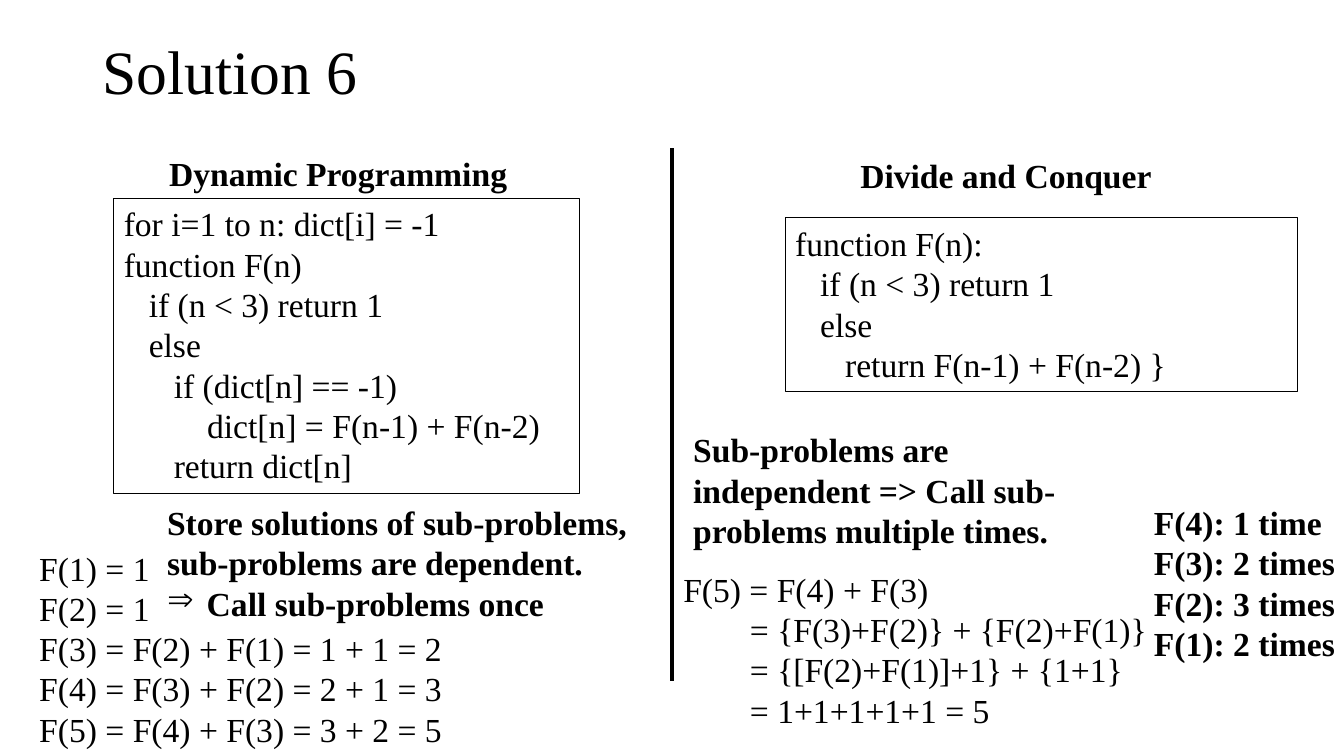
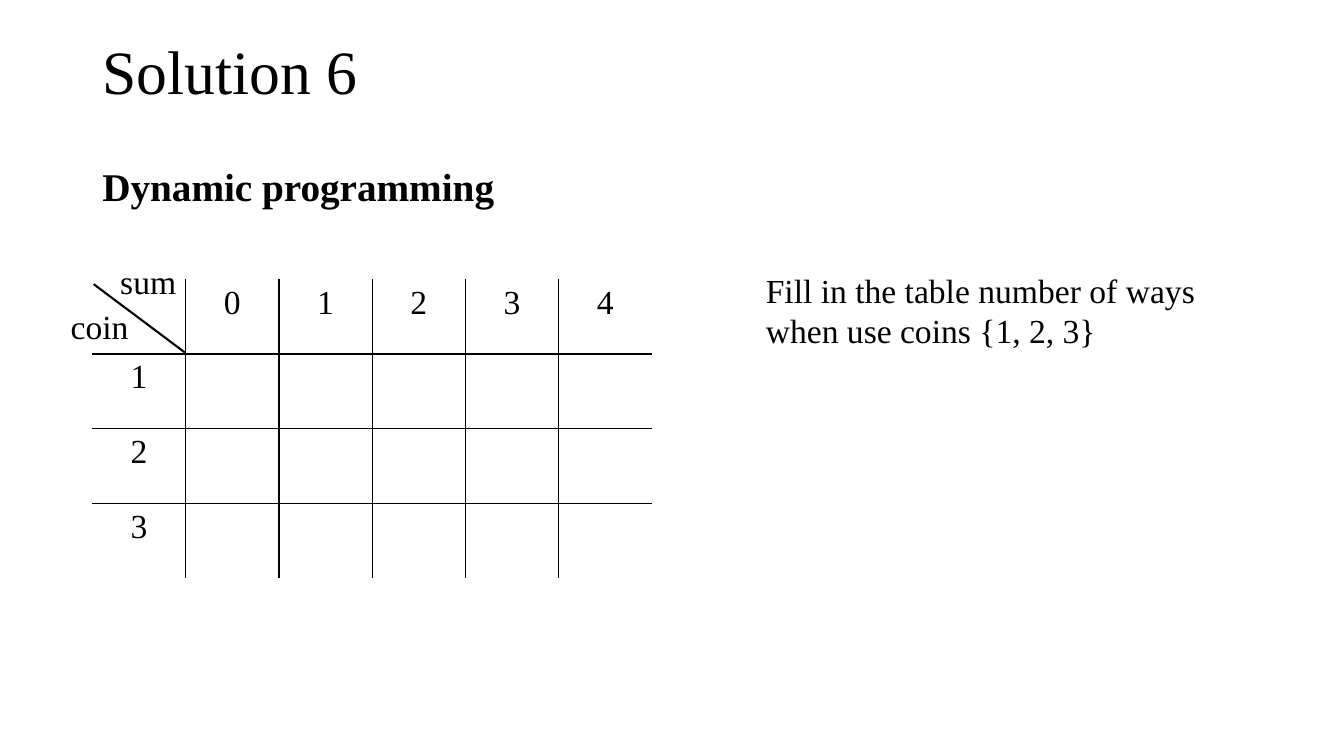
from dataclasses import dataclass

from lxml import etree
from pptx import Presentation
from pptx import util as u
from pptx.dml.color import RGBColor
from pptx.enum import shapes, text
from pptx.oxml import ns


@dataclass(frozen=True)
class Theme:
    ink: RGBColor = RGBColor(0, 0, 0)
    paper: RGBColor = RGBColor(255, 255, 255)
    font: str = "Times New Roman"
    title: int = 44
    heading: int = 28
    body: int = 24
    space_cm: float = 0.21
    bullet_cm: float = 1.0
    frame_pt: float = 0.75
    grid_pt: float = 1
    diagonal_pt: float = 1.5
    divider_pt: float = 3


THEME = Theme()
TITLE = "Solution 6"
TITLE_AT = (2.33, 0.05, 29.21, 3.68)

HEADINGS = [
    ("Dynamic Programming", (3.96, 3.73, 9.12, 1.27)),
    ("Divide and Conquer", (21.39, 3.78, 7.92, 1.27)),
]
DIVIDER = (16.94, 3.73, 16.94, 17.17)

# Each line is (leading columns, wording).
PROGRAMS = [
    ([(0, "function F(n):"),
      (3, "if (n < 3) return 1"),
      (3, "else"),
      (6, "return F(n-1) + F(n-2) }")],
     (19.79, 5.49, 12.9, 4.37)),
    ([(0, "for i=1 to n: dict[i] = -1"),
      (0, "function F(n)"),
      (3, "if (n < 3) return 1"),
      (3, "else"),
      (6, "if (dict[n] == -1)"),
      (10, "dict[n] = F(n-1) + F(n-2)"),
      (6, "return dict[n]")],
     (2.87, 5.0, 11.73, 7.44)),
]
TRACES = [
    ([(0, "F(5) = F(4) + F(3)"),
      (8, "= {F(3)+F(2)} + {F(2)+F(1)}"),
      (8, "= {[F(2)+F(1)]+1} + {1+1}"),
      (8, "= 1+1+1+1+1 = 5")],
     (16.97, 14.2, 16.94, 4.37)),
    ([(0, "F(1) = 1"),
      (0, "F(2) = 1"),
      (0, "F(3) = F(2) + F(1) = 1 + 1 = 2"),
      (0, "F(4) = F(3) + F(2) = 2 + 1 = 3"),
      (0, "F(5) = F(4) + F(3) = 3 + 2 = 5")],
     (0.74, 13.67, 16.94, 5.38)),
]
STORED = ["Store solutions of sub-problems, sub-problems are dependent.",
          "Call sub-problems once"]
STORED_AT = (3.96, 12.52, 13.13, 3.33)
REMARKS = [
    (["Sub-problems are independent => Call sub-problems multiple times."],
     (17.22, 10.69, 10.44, 3.33)),
    (["F(4): 1 time", "F(3): 2 times", "F(2): 3 times", "F(1): 2 times"],
     (28.83, 12.52, 5.66, 4.37)),
]

METHOD = "Dynamic programming"
METHOD_AT = (2.33, 4.09, 29.21, 13.06)
SUMS = ["0", "1", "2", "3", "4"]
COINS = ["1", "2", "3"]
GRID_AT = (2.33, 7.04)
CELL = (2.35, 1.88)
AXES = [("coin", (1.52, 7.59, 1.98, 1.27)), ("sum", (2.77, 6.45, 1.93, 1.27))]
DIAGONAL = (4.67, 8.89, 2.36, 7.16)
TASK = "Fill in the table number of ways when use coins {1, 2, 3}"
TASK_AT = (19.05, 6.68, 12.45, 2.31)


def cm(lengths):
    return [u.Cm(length) for length in lengths]


def style(paragraph, size, bold=False):
    font = paragraph.font
    font.name, font.size, font.bold = THEME.font, u.Pt(size), bold
    font.color.rgb = THEME.ink


def add_text(slide, lines, at, size=THEME.body, bold=False, centred=False,
             framed=False, wrap=True, grow=True):
    if framed:
        box = slide.shapes.add_shape(shapes.MSO_SHAPE.RECTANGLE, *cm(at))
        box.shadow.inherit = False
        box.fill.background()
        box.line.color.rgb = THEME.ink
        box.line.width = u.Pt(THEME.frame_pt)
    else:
        box = slide.shapes.add_textbox(*cm(at))
    frame = box.text_frame
    frame.word_wrap = wrap
    frame.vertical_anchor = text.MSO_ANCHOR.TOP
    frame.auto_size = (text.MSO_AUTO_SIZE.SHAPE_TO_FIT_TEXT if grow
                       else text.MSO_AUTO_SIZE.NONE)
    for index, line in enumerate(lines):
        columns, wording = (0, line) if isinstance(line, str) else line
        paragraph = frame.add_paragraph() if index else frame.paragraphs[0]
        paragraph.text = wording
        paragraph.alignment = text.PP_ALIGN.CENTER if centred else text.PP_ALIGN.LEFT
        style(paragraph, size, bold)
        if columns:
            margin = u.Cm(columns * THEME.space_cm)
            paragraph._p.get_or_add_pPr().set("marL", str(margin))
    return frame


def add_bullet(paragraph, mark):
    properties = paragraph._p.get_or_add_pPr()
    hang = u.Cm(THEME.bullet_cm)
    properties.set("marL", str(hang))
    properties.set("indent", str(-hang))
    bullet = etree.Element(ns.qn("a:buChar"), char=mark)
    properties.find(ns.qn("a:defRPr")).addprevious(bullet)


def add_line(slide, ends, width):
    line = slide.shapes.add_connector(shapes.MSO_CONNECTOR.STRAIGHT, *cm(ends))
    line.line.color.rgb = THEME.ink
    line.line.width = u.Pt(width)
    etree.SubElement(line._element.spPr, ns.qn("a:effectLst"))


def set_borders(cell, sides):
    properties = cell._tc.get_or_add_tcPr()
    for position, (side, drawn) in enumerate(sides.items()):
        edge = etree.Element(ns.qn(f"a:ln{side}"), w=str(u.Pt(THEME.grid_pt)))
        if drawn:
            fill = etree.SubElement(edge, ns.qn("a:solidFill"))
            etree.SubElement(fill, ns.qn("a:srgbClr"), val=str(THEME.ink))
        else:
            etree.SubElement(edge, ns.qn("a:noFill"))
        properties.insert(position, edge)


def add_grid(slide):
    rows = [[""] + SUMS] + [[coin] + [""] * len(SUMS) for coin in COINS]
    last_row, last_column = len(COINS), len(SUMS)
    size = (CELL[0] * (last_column + 1), CELL[1] * (last_row + 1))
    grid = slide.shapes.add_table(last_row + 1, last_column + 1,
                                  *cm(GRID_AT + size)).table
    grid.first_row = grid.horz_banding = False
    for column in grid.columns:
        column.width = u.Cm(CELL[0])
    for r, row in enumerate(rows):
        grid.rows[r].height = u.Cm(CELL[1])
        for c, wording in enumerate(row):
            cell = grid.cell(r, c)
            cell.fill.background()
            set_borders(cell, {"L": c > 0, "R": c < last_column,
                               "T": r > 0, "B": r < last_row})
            if wording:
                cell.text = wording
                paragraph = cell.text_frame.paragraphs[0]
                paragraph.alignment = text.PP_ALIGN.CENTER
                style(paragraph, THEME.body)


def add_slide(deck):
    slide = deck.slides.add_slide(deck.slide_layouts[6])
    slide.background.fill.solid()
    slide.background.fill.fore_color.rgb = THEME.paper
    title = add_text(slide, [TITLE], TITLE_AT, THEME.title, grow=False)
    title.vertical_anchor = text.MSO_ANCHOR.MIDDLE
    title.paragraphs[0].line_spacing = 0.9
    return slide


def add_comparison(deck):
    slide = add_slide(deck)
    add_line(slide, DIVIDER, THEME.divider_pt)
    for heading, at in HEADINGS:
        add_text(slide, [heading], at, bold=True, centred=True, wrap=False)
    for program, at in PROGRAMS:
        add_text(slide, program, at, framed=True)
    for trace, at in TRACES:
        add_text(slide, trace, at)
    stored = add_text(slide, STORED, STORED_AT, bold=True)
    add_bullet(stored.paragraphs[1], "⇒")
    for remark, at in REMARKS:
        add_text(slide, remark, at, bold=True)


def add_exercise(deck):
    slide = add_slide(deck)
    method = add_text(slide, [METHOD], METHOD_AT, THEME.heading, bold=True, grow=False)
    method.paragraphs[0].line_spacing = 0.9
    method.paragraphs[0].space_before = u.Pt(10)
    add_grid(slide)
    for axis, at in AXES:
        add_text(slide, [axis], at, centred=True, wrap=False)
    add_line(slide, DIAGONAL, THEME.diagonal_pt)
    add_text(slide, [TASK], TASK_AT)


def main():
    deck = Presentation()
    deck.slide_width, deck.slide_height = cm((33.87, 19.05))
    add_comparison(deck)
    add_exercise(deck)
    deck.save("out.pptx")


if __name__ == "__main__":
    main()
